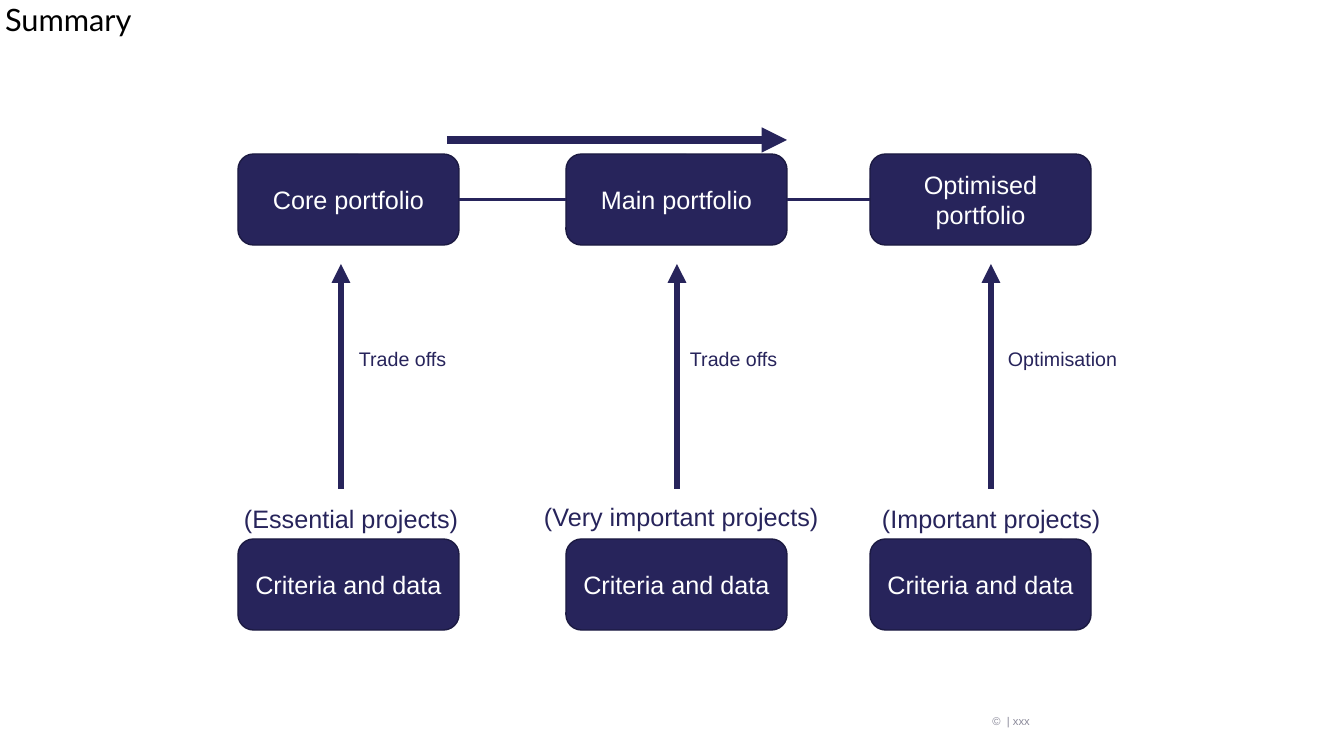
from lxml import etree
from pptx import Presentation
from pptx.dml.color import RGBColor
from pptx.enum.shapes import MSO_CONNECTOR, MSO_SHAPE
from pptx.enum.text import MSO_ANCHOR, MSO_AUTO_SIZE, PP_ALIGN
from pptx.oxml.ns import qn
from pptx.util import Pt

STRAIGHT = MSO_CONNECTOR.STRAIGHT
ROUNDED = MSO_SHAPE.ROUNDED_RECTANGLE
TOP, MIDDLE = MSO_ANCHOR.TOP, MSO_ANCHOR.MIDDLE
LEFT, CENTER, RIGHT = PP_ALIGN.LEFT, PP_ALIGN.CENTER, PP_ALIGN.RIGHT
NO_FIT = MSO_AUTO_SIZE.NONE

EMU_PER_PIXEL = 914400 / 100.8
SLIDE_WIDTH, SLIDE_HEIGHT = 1344, 756
NAVY, DARK_NAVY, WHITE, BLACK, GREY = "27245B", "1C1A42", "FFFFFF", "000000", "8B8A9A"
BOX_WIDTH, BOX_HEIGHT = 221, 91
PORTFOLIO_TOP, CRITERIA_TOP = 154, 539
ARROW_TOP, ARROW_BOTTOM = 264, 489
LEFT_SIDE, RIGHT_SIDE = 1, 3

COLUMNS = [
    {"left": 238, "portfolio": "Core portfolio", "arrow": 341,
     "step": ("Trade offs", 354),
     "projects": ("(Essential projects)", 239, 498, 230)},
    {"left": 566, "portfolio": "Main portfolio", "arrow": 677,
     "step": ("Trade offs", 685),
     "projects": ("(Very important projects)", 539, 496, 296)},
    {"left": 870, "portfolio": "Optimised portfolio", "arrow": 991,
     "step": ("Optimisation", 1003),
     "projects": ("(Important projects)", 877, 498, 230)},
]


def px(value):
    return round(value * EMU_PER_PIXEL)


def color(hex_string):
    return RGBColor.from_string(hex_string)


def apply(target, values):
    for name, value in values.items():
        setattr(target, name, value)


def write(shape, text, size, text_color, align=LEFT, anchor=TOP, inset=5, font="Arial"):
    frame = shape.text_frame
    apply(frame, {"word_wrap": True, "auto_size": NO_FIT, "vertical_anchor": anchor,
                  "margin_left": px(inset), "margin_right": px(inset),
                  "margin_top": px(5), "margin_bottom": px(5)})
    paragraph = frame.paragraphs[0]
    paragraph.alignment = align
    run = paragraph.add_run()
    run.text = text
    apply(run.font, {"name": font, "size": Pt(size), "bold": False})
    run.font.color.rgb = color(text_color)
    return paragraph


def add_title(slide, text):
    title = slide.shapes.title
    apply(title, {"left": 0, "top": 0,
                  "width": px(SLIDE_WIDTH), "height": px(SLIDE_HEIGHT)})
    paragraph = write(title, text, 22, BLACK, font="Lato")
    apply(paragraph, {"line_spacing": 0.9, "space_before": Pt(10)})


def add_label(slide, text, left, top, width, height, size, text_color=NAVY, **layout):
    label = slide.shapes.add_textbox(px(left), px(top), px(width), px(height))
    write(label, text, size, text_color, **layout)


def add_box(slide, text, left, top):
    box = slide.shapes.add_shape(ROUNDED, px(left), px(top), px(BOX_WIDTH), px(BOX_HEIGHT))
    box.shadow.inherit = False
    box.adjustments[0] = 0.17
    box.fill.solid()
    box.fill.fore_color.rgb = color(NAVY)
    box.line.color.rgb = color(DARK_NAVY)
    box.line.width = Pt(1)
    write(box, text, 18, WHITE, align=CENTER, anchor=MIDDLE, inset=10)
    return box


def add_line(slide, start, end, weight, arrow=False):
    line = slide.shapes.add_connector(STRAIGHT, *map(px, start + end))
    line.line.color.rgb = color(NAVY)
    line.line.width = Pt(weight)
    if arrow:
        etree.SubElement(line.line._get_or_add_ln(), qn("a:tailEnd"), type="triangle")
    etree.SubElement(line._element.spPr, qn("a:effectLst"))
    return line


def add_column(slide, column):
    portfolio = add_box(slide, column["portfolio"], column["left"], PORTFOLIO_TOP)
    add_box(slide, "Criteria and data", column["left"], CRITERIA_TOP)
    projects, left, top, width = column["projects"]
    add_label(slide, projects, left, top, width, 38, 18)
    add_line(slide, (column["arrow"], ARROW_BOTTOM), (column["arrow"], ARROW_TOP), 4.5, arrow=True)
    step, left = column["step"]
    add_label(slide, step, left, 342, 140, 32, 14)
    return portfolio


def link_boxes(slide, first, second):
    link = add_line(slide, (0, 0), (0, 0), 1.5)
    link.begin_connect(first, RIGHT_SIDE)
    link.end_connect(second, LEFT_SIDE)


def main():
    presentation = Presentation()
    apply(presentation, {"slide_width": px(SLIDE_WIDTH), "slide_height": px(SLIDE_HEIGHT)})
    slide = presentation.slides.add_slide(presentation.slide_layouts.get_by_name("Title Only"))
    add_title(slide, "Summary")
    portfolios = [add_column(slide, column) for column in COLUMNS]
    for first, second in zip(portfolios, portfolios[1:]):
        link_boxes(slide, first, second)
    add_line(slide, (447, 140), (787, 140), 6, arrow=True)
    add_label(slide, "©  | xxx", 309, 710, 726, 22, 8, GREY, align=RIGHT, anchor=MIDDLE)
    presentation.save("out.pptx")


main()
